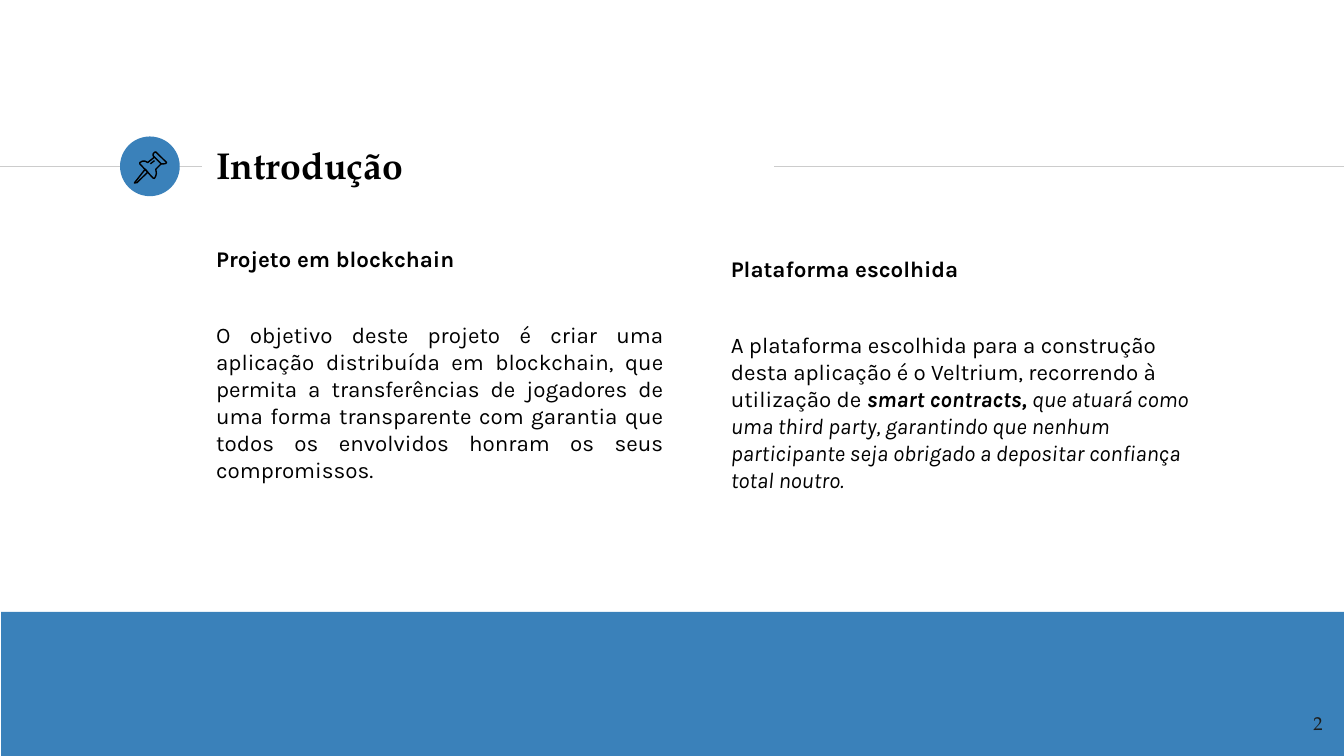
from dataclasses import dataclass
from typing import NamedTuple

from lxml.etree import SubElement
from pptx import Presentation
from pptx.dml.color import RGBColor
from pptx.enum.shapes import MSO_CONNECTOR as Connector, MSO_SHAPE as ShapeType
from pptx.enum.text import MSO_ANCHOR as Anchor, PP_ALIGN as Align
from pptx.oxml.ns import qn
from pptx.util import Pt

COLORS = {"blue": "3A81BA", "rule": "CCCCCC", "black": "000000", "number": "1D1D1B"}
SERIF = "TeX Gyre Pagella"
SANS = "Karla"
RULE_TOP = 89.3


class Box(NamedTuple):
    left: float
    top: float
    width: float
    height: float


class Outline(NamedTuple):
    points: list[tuple[float, float]]
    closed: bool


@dataclass
class Run:
    text: str
    size: float = 12
    font: str = SANS
    color: str = "black"
    bold: bool = False
    italic: bool = False


@dataclass
class Paragraph:
    runs: list[Run]
    align: Align = Align.LEFT
    space_before: float = 0


@dataclass
class TextBlock:
    box: Box
    paragraphs: list[Paragraph]
    anchor: Anchor = Anchor.TOP


def color(name: str) -> RGBColor:
    return RGBColor.from_string(COLORS[name])


def column(box: Box, heading: str, body: list[Run], align: Align) -> TextBlock:
    return TextBlock(box, [
        Paragraph([Run(heading, bold=True)], align, 6),
        Paragraph(body, align, 26.4),
    ])


def draw_rule(slide, start: float, end: float) -> None:
    rule = slide.shapes.add_connector(
        Connector.STRAIGHT, Pt(start), Pt(RULE_TOP), Pt(end), Pt(RULE_TOP))
    rule.line.color.rgb = color("rule")
    rule.line.width = Pt(0.75)
    SubElement(rule._element.spPr, qn("a:effectLst"))


def draw_filled(slide, kind: ShapeType, box: Box) -> None:
    shape = slide.shapes.add_shape(kind, *map(Pt, box))
    shape.shadow.inherit = False
    shape.fill.solid()
    shape.fill.fore_color.rgb = color("blue")
    shape.line.fill.background()


def draw_outline(slide, outline: Outline) -> None:
    points = [(Pt(x), Pt(y)) for x, y in outline.points]
    builder = slide.shapes.build_freeform(*points[0])
    builder.add_line_segments(points[1:], close=outline.closed)
    shape = builder.convert_to_shape()
    shape.shadow.inherit = False
    shape.fill.background()
    shape.line.color.rgb = color("black")
    shape.line.width = Pt(0.75)


def draw_text(slide, block: TextBlock) -> None:
    frame = slide.shapes.add_textbox(*map(Pt, block.box)).text_frame
    frame.word_wrap = True
    frame.vertical_anchor = block.anchor
    frame.margin_left = frame.margin_right = Pt(7.2)
    frame.margin_top = frame.margin_bottom = Pt(7.2)
    for index, item in enumerate(block.paragraphs):
        paragraph = frame.add_paragraph() if index else frame.paragraphs[0]
        paragraph.alignment = item.align
        paragraph.space_before = Pt(item.space_before)
        for part in item.runs:
            run = paragraph.add_run()
            run.text = part.text
            run.font.name = part.font
            run.font.size = Pt(part.size)
            run.font.bold = part.bold
            run.font.italic = part.italic
            run.font.color.rgb = color(part.color)


PIN = [
    Outline([(77.8, 90.7), (72.7, 97.2), (72, 98), (73.4, 97.9), (79.2, 92.2)], True),
    Outline([(82.8, 84.2), (86.4, 87.8), (87.8, 87.8), (88.9, 87.6), (89.3, 87.1),
             (83.5, 81.4), (82.8, 81.6), (82.1, 82.4), (82.1, 83.5)], True),
    Outline([(82.8, 84.2), (79.2, 87.1), (77.8, 86.4), (76.3, 86.4), (74.9, 87.2),
             (74.9, 87.8), (82.1, 95.5), (82.8, 95.6), (83.5, 94.3), (83.8, 92.9),
             (83.5, 90.7), (86.4, 87.8)], False),
    Outline([(80.6, 87.8), (82.8, 86.1)], False),
]

TEXTS = [
    TextBlock(Box(108.7, 70.9, 305.3, 34.6),
              [Paragraph([Run("Introdução", 20, SERIF, bold=True)])], Anchor.MIDDLE),
    column(Box(108.7, 124.2, 254, 185), "Projeto em blockchain", [
        Run("O objetivo deste projeto é criar uma aplicação distribuída em blockchain, "
            "que permita a transferências de jogadores de uma forma transparente com "
            "garantia que todos os envolvidos honram os seus compromissos."),
    ], Align.JUSTIFY),
    column(Box(384.4, 129.5, 265, 173.5), "Plataforma escolhida", [
        Run("A plataforma escolhida para a construção desta aplicação é o Veltrium, "
            "recorrendo à utilização de "),
        Run("smart contracts, ", bold=True, italic=True),
        Run("que atuará como uma third party, garantindo que nenhum participante seja "
            "obrigado a depositar confiança total noutro.", italic=True),
    ], Align.LEFT),
    TextBlock(Box(672.5, 375.3, 43.2, 29.7),
              [Paragraph([Run("2", 10, SERIF, "number")], Align.RIGHT)]),
]


def main() -> None:
    presentation = Presentation()
    presentation.slide_width = Pt(720)
    presentation.slide_height = Pt(405)
    slide = presentation.slides.add_slide(presentation.slide_layouts[6])
    draw_rule(slide, 0, 108)
    draw_filled(slide, ShapeType.OVAL, Box(64.3, 73.1, 32, 32))
    draw_rule(slide, 414.7, 720)
    draw_filled(slide, ShapeType.RECTANGLE, Box(0.6, 327.8, 720, 77.2))
    for outline in PIN:
        draw_outline(slide, outline)
    for block in TEXTS:
        draw_text(slide, block)
    presentation.save("out.pptx")


if __name__ == "__main__":
    main()
